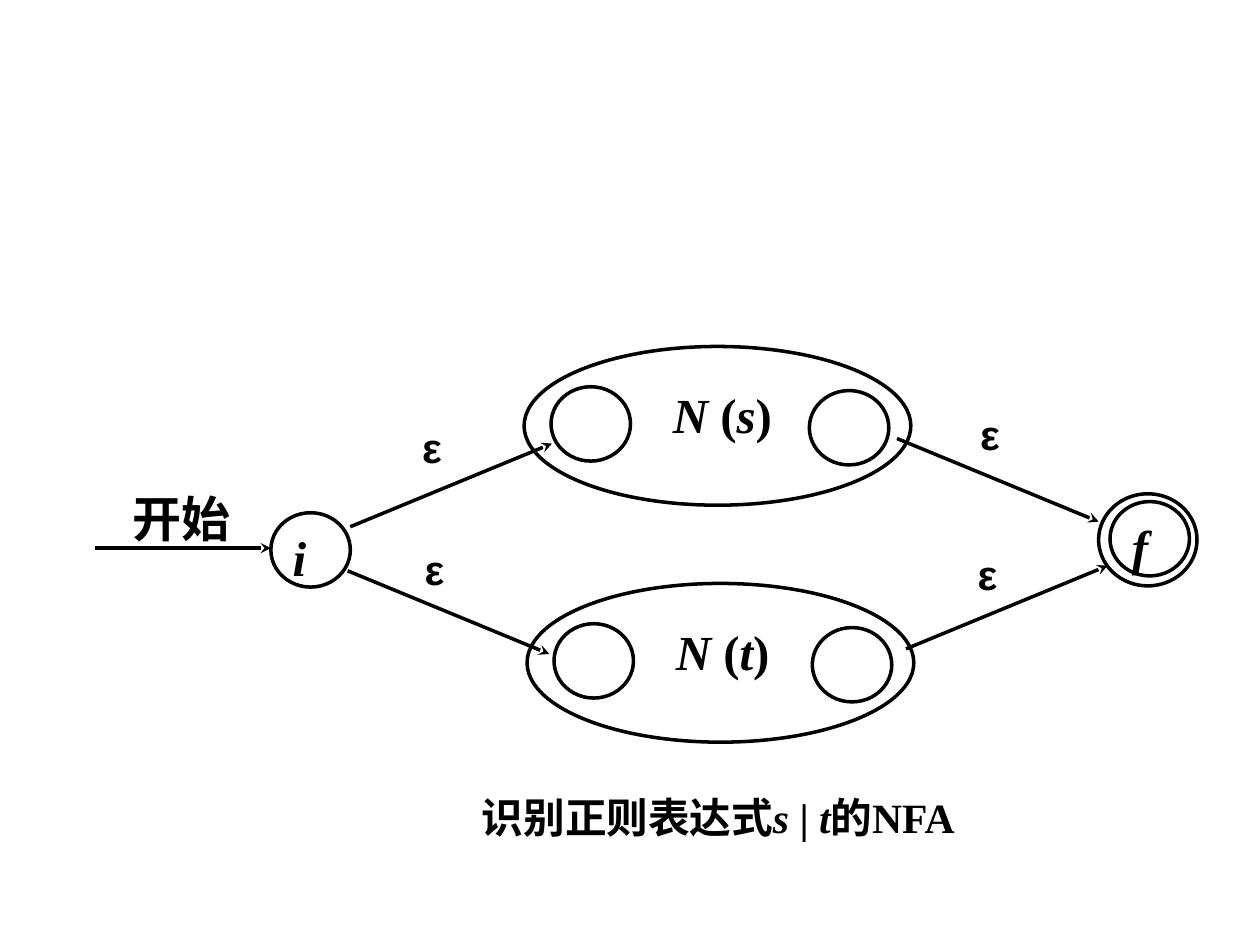
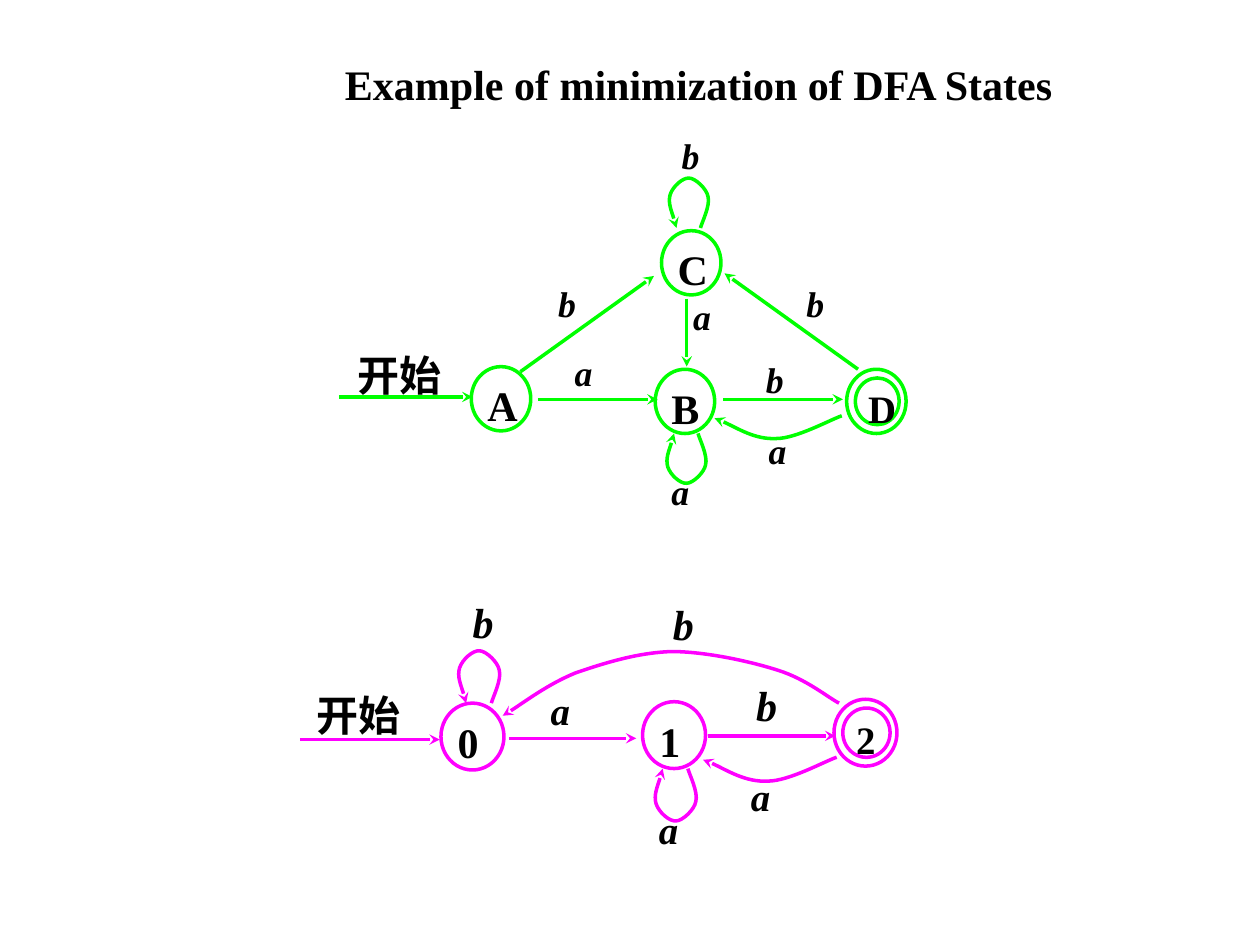
from lxml.etree import SubElement
from pptx import Presentation
from pptx.dml.color import RGBColor
from pptx.enum.shapes import MSO_CONNECTOR, MSO_SHAPE
from pptx.enum.text import PP_ALIGN
from pptx.oxml.ns import qn
from pptx.util import Pt

BLACK, GREEN, MAGENTA = "000000", "00FF00", "FF00FF"
SERIF, SANS = "Times New Roman", "Arial"

# Bezier curves as offsets from their starting point
SELF_LOOP = [(0.7, -2.9), (5.8, -13), (4.3, -18), (3.6, -22.3), (-2.9, -28.5),
             (-6.5, -28.5), (-10.1, -28.8), (-15.8, -23.8), (-17.3, -19.1),
             (-18.7, -14.4), (-14.4, -3.6), (-13.7, 0)]
SHORT_RETURN = [(-6.5, 2.2), (-25.9, 13), (-37.4, 13), (-49.7, 13.7),
                (-65.5, 3.6), (-72.7, 1.4)]
LONG_RETURN = [(-5.8, -2.9), (-18.7, -13.7), (-34.6, -18.7), (-50.4, -23.8),
               (-76.3, -29.5), (-95.8, -29.5), (-115.2, -28.8), (-133.9, -23),
               (-150.5, -17.3), (-166.3, -10.8), (-183.6, 2.2), (-192.2, 7.2)]


def color(hex_string):
    return RGBColor.from_string(hex_string)


class AutomatonDeck:
    """Holds the presentation, the current slide and its line colour."""

    def __init__(self):
        self.prs = Presentation()
        self.prs.slide_width, self.prs.slide_height = Pt(720), Pt(540)
        self.ink = BLACK

    def new_slide(self):
        self.shapes = self.prs.slides.add_slide(self.prs.slide_layouts[6]).shapes

    def outline(self, shape, arrow=False):
        shape.line.color.rgb = color(self.ink)
        shape.line.width = Pt(2)
        if arrow:
            ln = shape.element.spPr.find(qn("a:ln"))
            SubElement(ln, qn("a:tailEnd"), type="stealth")

    def set_text(self, frame, content, size, italic=False, font=SERIF,
                 align=PP_ALIGN.LEFT, left=4.3, top=2.2):
        """Content is a string, or a list of (text, italic) runs."""
        frame.word_wrap = True
        frame.margin_left, frame.margin_top = Pt(left), Pt(top)
        frame.margin_right = frame.margin_bottom = Pt(1.5)
        paragraph = frame.paragraphs[0]
        paragraph.alignment = align
        style = paragraph.font
        style.name, style.size, style.bold = font, Pt(size), True
        style.color.rgb = color(BLACK)
        if isinstance(content, str):
            paragraph.add_run().text = content
            style.italic = italic
        else:
            for words, slanted in content:
                run = paragraph.add_run()
                run.text, run.font.italic = words, slanted
        return paragraph

    def text(self, x, y, w, h, content, size, **style):
        box = self.shapes.add_textbox(Pt(x), Pt(y), Pt(w), Pt(h))
        return self.set_text(box.text_frame, content, size, **style)

    def ellipse(self, x, y, w, h, label="", size=24, **style):
        oval = self.shapes.add_shape(MSO_SHAPE.OVAL, Pt(x), Pt(y), Pt(w), Pt(h))
        oval.shadow.inherit = False
        oval.fill.background()
        self.outline(oval)
        if label:
            oval.text_frame.vertical_anchor = None
            self.set_text(oval.text_frame, label, size, **style)

    def arrow(self, x1, y1, x2, y2):
        edge = self.shapes.add_connector(MSO_CONNECTOR.STRAIGHT,
                                         Pt(x1), Pt(y1), Pt(x2), Pt(y2))
        self.outline(edge, arrow=True)
        SubElement(edge.element.spPr, qn("a:effectLst"))

    def curve(self, x, y, offsets, scale=1, flip=1):
        builder = self.shapes.build_freeform(Pt(x), Pt(y))
        builder.add_line_segments(
            [(Pt(x + dx * scale), Pt(y + dy * scale * flip)) for dx, dy in offsets],
            close=False)
        edge = builder.convert_to_shape()
        # Turn each three straight segments into one cubic segment
        track = edge.element.find(".//" + qn("a:path"))
        segments = track.findall(qn("a:lnTo"))
        for first in range(0, len(segments), 3):
            cubic = SubElement(track, qn("a:cubicBezTo"))
            for segment in segments[first:first + 3]:
                cubic.append(segment[0])
                track.remove(segment)
        edge.shadow.inherit = False
        edge.fill.background()
        self.outline(edge, arrow=True)


def build_union_nfa(deck):
    deck.new_slide()
    deck.ink = BLACK
    node = (45.4, 42.5)

    # Start and accepting states
    deck.arrow(54, 313.2, 154.8, 313.2)
    deck.text(71.3, 277.2, 73.4, 40.3, "开始", 28)
    deck.ellipse(154.8, 293, *node, "i", 28, italic=True, left=5.8)
    deck.ellipse(627.8, 282.2, 56.2, 52.6)
    deck.ellipse(634.3, 286.6, *node, "f", 28, italic=True, left=5.8)

    # Sub-automata N(s) and N(t)
    for x, y, name in [(299.5, 198, "s"), (301.2, 333.4, "t")]:
        deck.ellipse(x, y, 221, 90.7)
        deck.ellipse(x + 15.4, y + 23, *node)
        deck.ellipse(x + 163, y + 25.2, *node)
        deck.text(x + 78.5, y + 19.4, 77, 50.4,
                  [("N ", True), ("(", False), (name, True), (")", False)],
                  28, left=6.5)

    # Epsilon moves
    for x, y, rise in [(200.2, 301, -47.5), (198.7, 326.2, 47.5),
                       (517.7, 370.8, -47.5), (512.6, 250.6, 47.5)]:
        deck.arrow(x, y, x + 115.2, y + rise)
    for x, y in [(236.9, 241.9), (238.3, 311.8), (555.8, 234.7), (554.4, 314.6)]:
        deck.text(x, y, 36.7, 33.8, "ε", 23.8, font=SANS).line_spacing = 0.9

    deck.text(239.8, 450, 338.4, 35.3,
              [("识别正则表达式", False), ("s ", True), ("| ", False),
               ("t", True), ("的NFA", False)],
              23.8, align=PP_ALIGN.CENTER)


def draw_dfa(deck, ink, start, start_label, state_size, states, accepting,
             arrows, curves, labels, scale):
    deck.ink = ink
    deck.arrow(*start)
    deck.text(*start_label, 60, 35, "开始", 24)
    for x, y, name in states:
        deck.ellipse(x, y, *state_size, name)

    # Accepting state: a double circle
    x, y, name = accepting
    w, h = state_size
    deck.ellipse(x, y, w, h)
    deck.ellipse(x + 5, y + 5, w - 9, h - 10, name, 22.2, left=3.6, top=0)

    # Transitions
    for ends in arrows:
        deck.arrow(*ends)
    for x, y, offsets, flip in curves:
        deck.curve(x, y, offsets, 1 if offsets is LONG_RETURN else scale, flip)
    for x, y, symbol, size in labels:
        deck.text(x, y, 28.5, 31, symbol, size, italic=True)


def build_minimization(deck):
    deck.new_slide()
    deck.text(102.2, 30.2, 594, 36, "Example of minimization of DFA States", 24,
              align=PP_ALIGN.CENTER, left=1.5, top=3.6)

    # DFA before minimization
    draw_dfa(
        deck, GREEN, (193.7, 226.8, 270, 226.8), (200.2, 197.3), (34, 36.7),
        states=[(269.3, 209.5, "A"), (374.4, 211, "B"), (378, 131.8, "C")],
        accepting=(483.8, 211, "D"),
        arrows=[(307.4, 228.2, 375.8, 228.2), (413.3, 228.2, 481.7, 228.2),
                (297.4, 212.4, 373.7, 157.7), (392.4, 170.6, 392.4, 209.5),
                (490.3, 211, 414, 156.2)],
        curves=[(400.3, 130.3, SELF_LOOP, 1), (398.9, 247.7, SELF_LOOP, -1),
                (481, 237.6, SHORT_RETURN, 1)],
        labels=[(x, y, symbol, 20.4) for x, y, symbol in [
            (324, 198, "a"), (379.4, 266.4, "a"), (434.9, 242.6, "a"),
            (391.7, 166.3, "a"), (433.4, 202.3, "b"), (314.6, 159.1, "b"),
            (385.2, 74.2, "b"), (456.5, 159.1, "b")]],
        scale=1)

    # DFA after minimization
    draw_dfa(
        deck, MAGENTA, (171.4, 422.6, 251.3, 422.6), (176.4, 391.7), (36, 38.2),
        states=[(252, 401.8, "0"), (367.2, 401, "1")],
        accepting=(476.6, 399.6, "2"),
        arrows=[(290.9, 421.9, 363.6, 421.9), (404.6, 420.5, 477.4, 420.5)],
        curves=[(280.8, 401.8, SELF_LOOP, 1), (393.1, 439.2, SELF_LOOP, -1),
                (478.1, 432.7, SHORT_RETURN, 1), (479.5, 401.8, LONG_RETURN, 1)],
        labels=[(310.3, 390.2, "a", 22.2), (372.2, 457.9, "a", 22.2),
                (424.8, 439.2, "a", 22.2), (427.7, 385.9, "b", 24),
                (265.7, 338.4, "b", 24), (380.2, 339.8, "b", 24)],
        scale=1.05)


def main():
    deck = AutomatonDeck()
    build_union_nfa(deck)
    build_minimization(deck)
    deck.prs.save("out.pptx")


if __name__ == "__main__":
    main()
